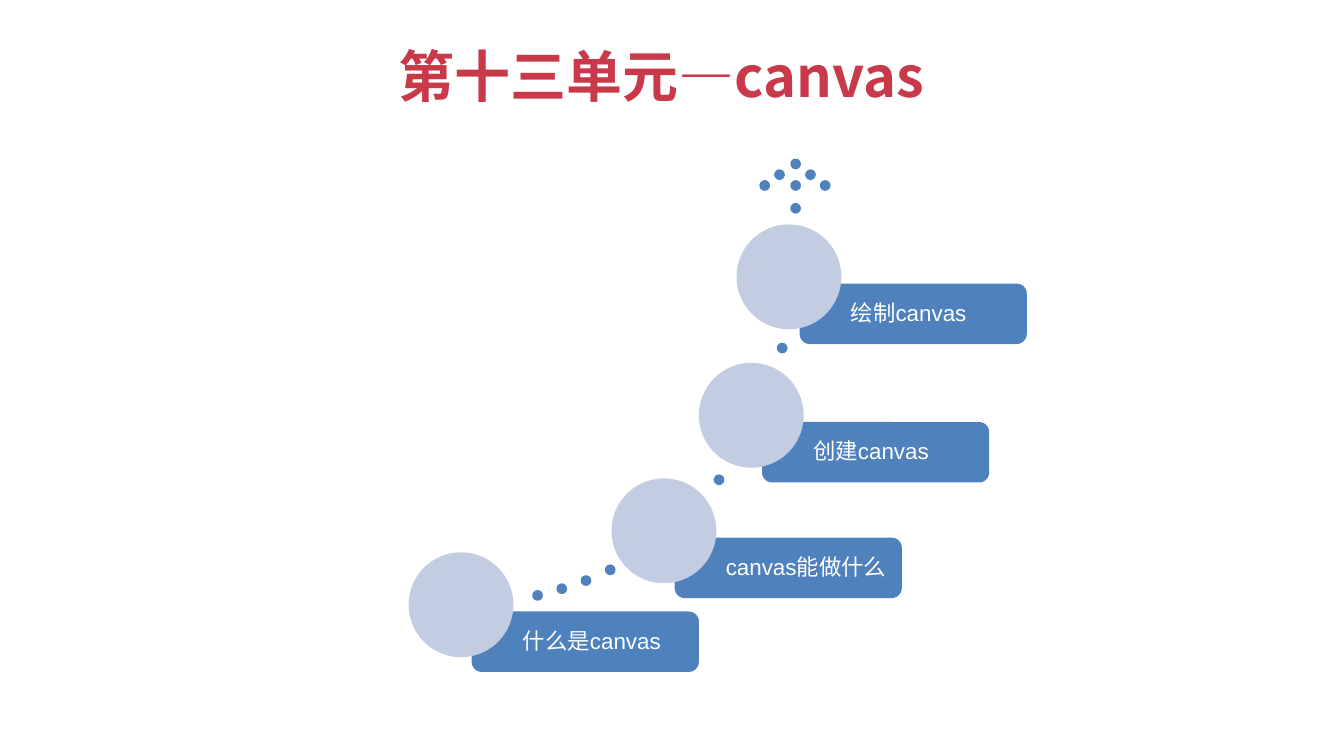
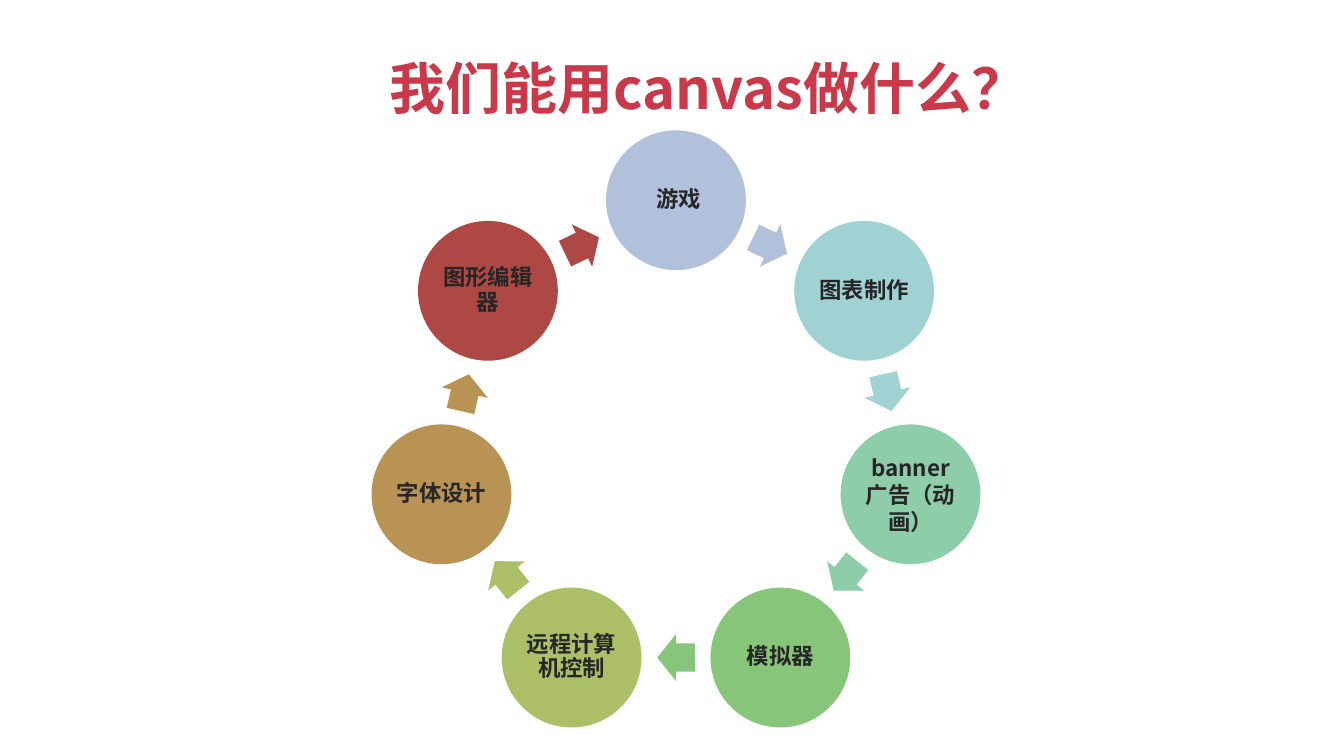
from dataclasses import dataclass
from math import cos, pi, sin

from pptx import Presentation
from pptx.dml.color import RGBColor
from pptx.enum import shapes as sh, text as tx
from pptx.util import Inches, Pt

RED, BLUE, PALE, WHITE, DARK = "C9394A", "4F81BD", "C2CDE1", "FFFFFF", "262626"
NOTO, ARIAL = "Noto Sans CJK SC", "Arial"
OVAL = sh.MSO_SHAPE.OVAL
LEFT, MID = tx.PP_ALIGN.LEFT, tx.PP_ALIGN.CENTER


@dataclass
class Box:
    x: float
    y: float
    w: float
    h: float

    def span(self):
        return [Inches(v) for v in (self.x, self.y, self.w, self.h)]

    def inset(self, gap: float) -> "Box":
        return Box(self.x + gap, self.y + gap, self.w - 2 * gap, self.h - 2 * gap)


@dataclass
class Font:
    name: str
    size: int
    color: str
    bold: bool = False


@dataclass
class Step:
    words: str
    x: float
    y: float


@dataclass
class Topic:
    words: str
    color: str
    pitch: float = 0.9


TITLE = Font(NOTO, 30, RED, True)
LABEL = Font(ARIAL, 12, WHITE)
TOPIC = Font(NOTO, 12, DARK, True)

STEPS = [
    Step("什么是canvas", 3.51, 4.55),
    Step("canvas能做什么", 5.02, 4),
    Step("创建canvas", 5.67, 3.14),
    Step("绘制canvas", 5.95, 2.11),
]
TRAIL = [(4.5, 4.2), (4.32, 4.28), (4.14, 4.34), (3.96, 4.39), (5.31, 3.53), (5.78, 2.55)]
HEAD = [(5.65, 1.34), (5.76, 1.26), (5.88, 1.18), (5.99, 1.26), (6.1, 1.34),
        (5.88, 1.34), (5.88, 1.51)]
TOPICS = [
    Topic(" 游戏", "B2C1DB"),
    Topic("图表制作", "A0D2D4"),
    Topic("banner广告（动画）", "8DCDA9", 1.0),
    Topic("模拟器", "87C67A"),
    Topic("远程计算机控制", "ABBF67"),
    Topic("字体设计", "B99354"),
    Topic("图形编辑器", "AE4845"),
]


def tint(code: str) -> RGBColor:
    return RGBColor.from_string(code)


def write(slide, box: Box, words: str, font: Font, align=LEFT, pitch: float | None = None):
    frame = slide.shapes.add_textbox(*box.span()).text_frame
    frame.word_wrap = True
    para = frame.paragraphs[0]
    para.alignment = align
    if pitch:
        para.line_spacing = pitch
    run = para.add_run()
    run.text = words
    run.font.name = font.name
    run.font.size = Pt(font.size)
    run.font.bold = font.bold
    run.font.color.rgb = tint(font.color)
    return frame


def pad(frame, left: float, rest: float) -> None:
    frame.margin_left = Inches(left)
    frame.margin_top = frame.margin_right = frame.margin_bottom = Inches(rest)
    frame.vertical_anchor = tx.MSO_ANCHOR.MIDDLE


def form(slide, kind, box: Box, color: str):
    item = slide.shapes.add_shape(kind, *box.span())
    item.shadow.inherit = False
    item.fill.solid()
    item.fill.fore_color.rgb = tint(color)
    item.line.fill.background()
    return item


def page(deck, words: str, box: Box):
    slide = deck.slides.add_slide(deck.slide_layouts[6])
    frame = write(slide, box, words, TITLE)
    frame.word_wrap = False
    frame.auto_size = tx.MSO_AUTO_SIZE.SHAPE_TO_FIT_TEXT
    return slide


def stairs(slide) -> None:
    for x, y in TRAIL + HEAD:
        form(slide, OVAL, Box(x, y, 0.08, 0.08), BLUE)
    for step in STEPS:
        box = Box(step.x, step.y, 1.69, 0.45)
        form(slide, sh.MSO_SHAPE.ROUNDED_RECTANGLE, box, BLUE)
        pad(write(slide, box.inset(0.02), step.words, LABEL, pitch=0.9), 0.36, 0.05)
        form(slide, OVAL, Box(step.x - 0.47, step.y - 0.44, 0.78, 0.78), PALE)


def ring(slide) -> None:
    mid_x, mid_y, reach, size = 5.03, 3.28, 1.79, 1.04
    wide, tall = 0.28, 0.35
    turn = 2 * pi / len(TOPICS)
    inner = reach * cos(turn / 2)
    for i, topic in enumerate(TOPICS):
        x, y = mid_x + reach * sin(i * turn), mid_y - reach * cos(i * turn)
        ball = Box(x - size / 2, y - size / 2, size, size)
        form(slide, OVAL, ball, topic.color)
        pad(write(slide, ball.inset(0.15), topic.words, TOPIC, MID, topic.pitch), 0.02, 0.02)

        half = (i + 0.5) * turn
        x, y = mid_x + inner * sin(half), mid_y - inner * cos(half)
        arrow = form(slide, sh.MSO_SHAPE.RIGHT_ARROW,
                     Box(x - wide / 2, y - tall / 2, wide, tall), topic.color)
        arrow.adjustments[0] = 0.6
        arrow.adjustments[1] = 0.5
        arrow.rotation = half * 180 / pi


deck = Presentation()
deck.slide_width = Inches(10)
deck.slide_height = Inches(10 * 9 / 16)
stairs(page(deck, "第十三单元—canvas", Box(2.87, 0.26, 4.19, 0.61)))
ring(page(deck, "我们能用canvas做什么？", Box(2.8, 0.35, 5, 0.61)))
deck.save("out.pptx")
